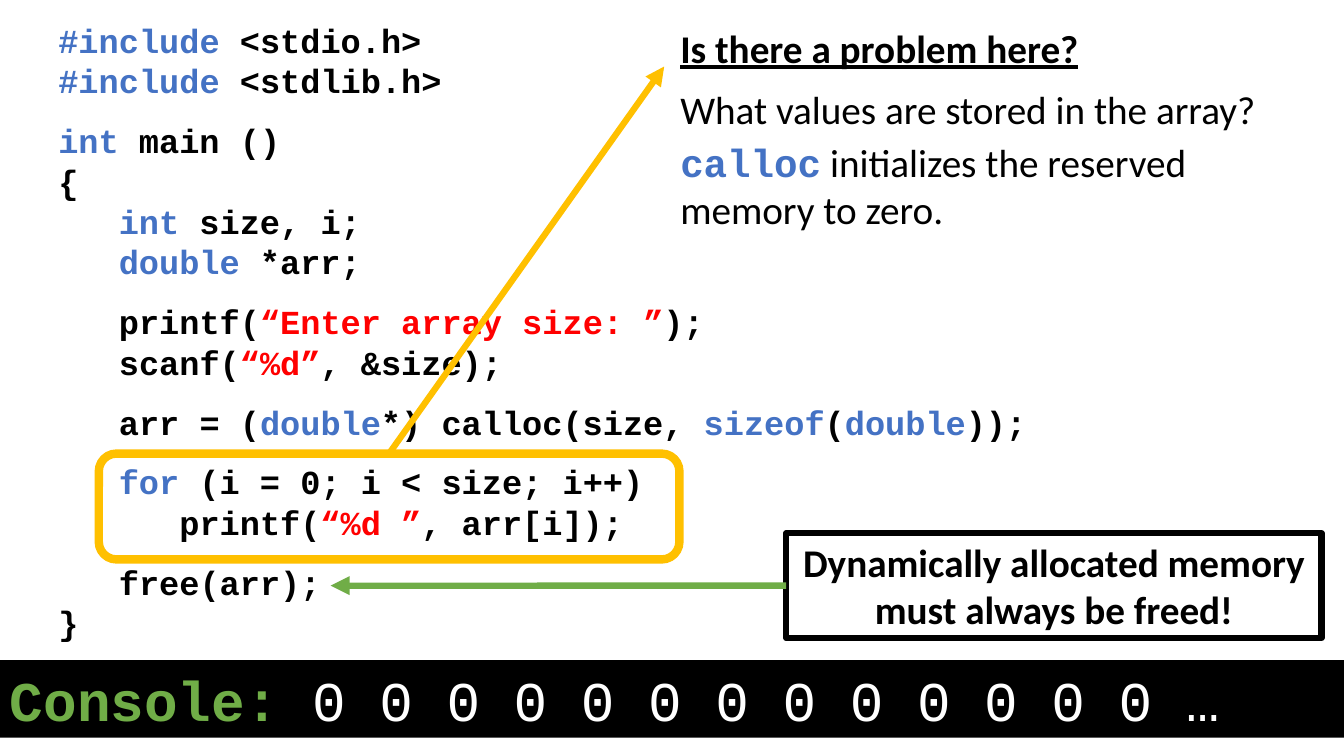
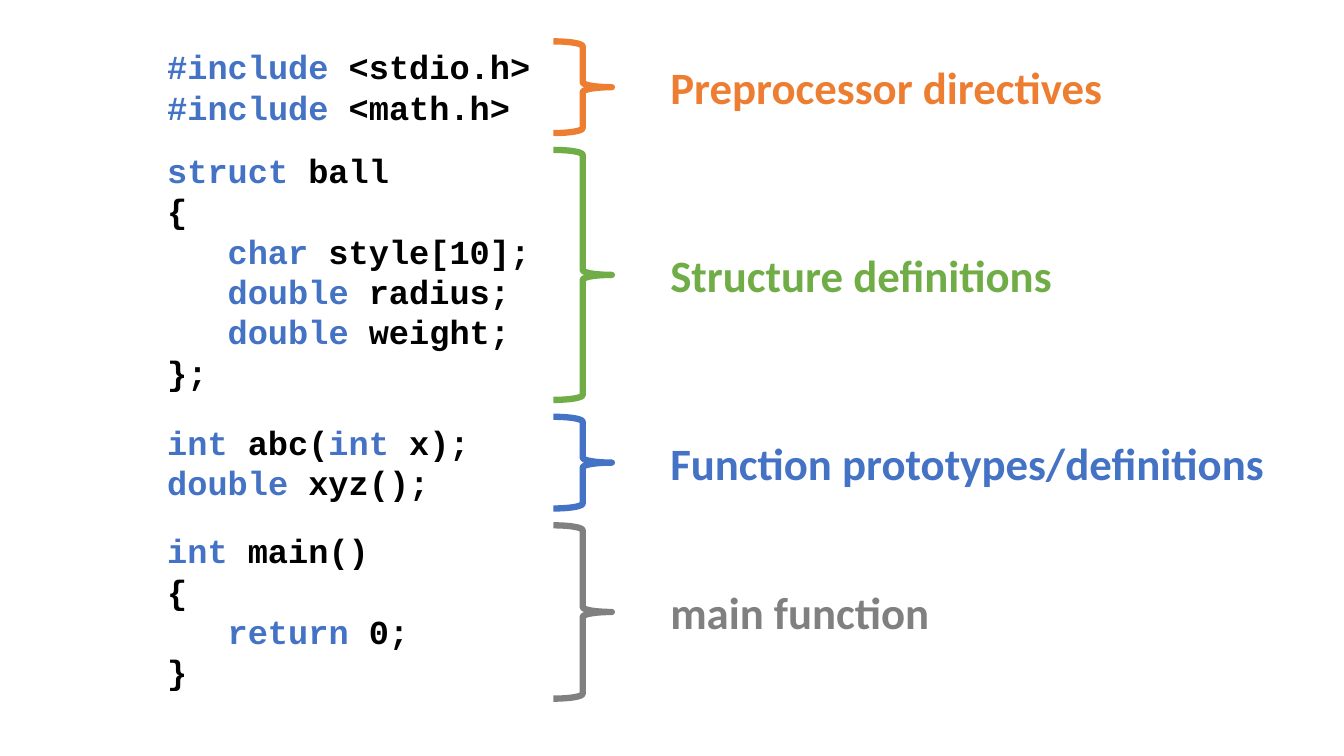
from lxml import etree
from pptx import Presentation, util as u
from pptx.dml.color import RGBColor
from pptx.enum import shapes, text
from pptx.oxml import ns

BLACK, WHITE, RED, BLUE = "000000", "FFFFFF", "FF0000", "4472C4"
GREEN, GOLD, ORANGE, GREY = "70AD47", "FFC000", "ED7D31", "808080"
MONO, SANS = "Courier New", "Calibri"
CODE, KEYWORD = (MONO, BLACK, True), (MONO, BLUE, True)
PLAIN, STRONG = (SANS, BLACK, False), (SANS, BLACK, True)
Preset = shapes.MSO_SHAPE

deck = Presentation()
deck.slide_width, deck.slide_height = u.Inches(13.33), u.Inches(7.5)
column, row = deck.slide_width / 100, deck.slide_height / 100
blank = deck.slide_layouts[6]


def draw(page, preset, left, top, columns, rows, fill=None, line=None, weight=4.5):
    place = [int(left * column), int(top * row), int(columns * column), int(rows * row)]
    if preset is None:
        box = page.shapes.add_textbox(*place)
    else:
        box = page.shapes.add_shape(preset, *place)
        box.shadow.inherit = False
        box.fill.background()
        box.line.fill.background()
    if fill:
        box.fill.solid()
        box.fill.fore_color.rgb = RGBColor.from_string(fill)
    if line:
        box.line.color.rgb = RGBColor.from_string(line)
        box.line.width = u.Pt(weight)
    return box


def write(box, source, size, base, accent=KEYWORD, align=text.PP_ALIGN.LEFT):
    frame = box.text_frame
    frame.word_wrap = True
    paras = [frame.paragraphs[0]]
    for block_index, block in enumerate(source.split("\n\n")):
        for line_index, line in enumerate(block.split("\n")):
            if block_index or line_index:
                paras.append(frame.add_paragraph())
            para = paras[-1]
            para.alignment = align
            if block_index and line_index == 0:
                para.space_before = u.Pt(14)
            for piece_index, piece in enumerate(line.split("~")):
                if not piece:
                    continue
                face, colour, bold = accent if piece_index % 2 else base
                span = para.add_run()
                span.text = piece
                span.font.name, span.font.size, span.font.bold = face, u.Pt(size), bold
                shade = RED if piece.startswith("“") else colour
                span.font.color.rgb = RGBColor.from_string(shade)
    return paras


page = deck.slides.add_slide(blank)
program = """~#include~ <stdio.h>
~#include~ <stdlib.h>

~int~ main ()
{
   ~int~ size, i;
   ~double~ *arr;

   printf(~“Enter array size: ”~);
   scanf(~“%d”~, &size);

   arr = (~double~*) calloc(size, ~sizeof~(~double~));

   ~for~ (i = 0; i < size; i++)
      printf(~“%d ”~, arr[i]);

   free(arr);
}"""
write(draw(page, None, 3.6, 2, 75.5, 84.8), program, 24, CODE)
loop_frame = draw(page, Preset.ROUNDED_RECTANGLE, 7.35, 60, 43.2, 14, line=GOLD, weight=6)

answers = [
    ("Is there a problem here?", 2.53, 7.6, STRONG),
    ("What values are stored in the array?", 10.67, 7.6, PLAIN),
    ("~calloc~ initializes the reserved memory to zero.", 17.6, 13.87, PLAIN),
]
for wording, top, rows, style in answers:
    paras = write(draw(page, None, 49.88, top, 46.88, rows), wording, 28, style)
    if style == STRONG:
        paras[0].runs[0].font.underline = True

console = draw(page, Preset.RECTANGLE, 0, 87.33, 100, 10.27, fill=BLACK)
output = "~Console:~ " + "0 " * 13 + "…"
write(console, output, 40, (MONO, WHITE, False), (MONO, GREEN, True))

reminder = draw(page, Preset.RECTANGLE, 58.5, 70.53, 39.83, 13.87, line=BLACK)
write(reminder, "Dynamically allocated memory must always be freed!", 28, STRONG,
      align=text.PP_ALIGN.CENTER)

for source, site, left, top, colour in [
    (loop_frame, 0, 49.42, 8.8, GOLD),
    (reminder, 1, 24.6, 77.47, GREEN),
]:
    arrow = page.shapes.add_connector(
        shapes.MSO_CONNECTOR.STRAIGHT, 0, 0, int(left * column), int(top * row))
    arrow.begin_connect(source, site)
    arrow.line.color.rgb = RGBColor.from_string(colour)
    arrow.line.width = u.Pt(4.5)
    head = etree.SubElement(arrow.line._get_or_add_ln(), ns.qn("a:tailEnd"))
    head.set("type", "triangle")
    etree.SubElement(arrow._element.spPr, ns.qn("a:effectLst"))

page = deck.slides.add_slide(blank)
sections = [
    ("Preprocessor directives", ORANGE, 12.13, """~#include~ <stdio.h>
~#include~ <math.h>"""),
    ("Structure definitions", GREEN, 33.07, """~struct~ ball
{
   ~char~ style[10];
   ~double~ radius;
   ~double~ weight;
};"""),
    ("Function prototypes/definitions", BLUE, 12.13, """~int~ abc(~int~ x);
~double~ xyz();"""),
    ("main function", GREY, 22.93, """~int~ main()
{
   ~return~ 0;
}"""),
]
code_left, code_columns, label_rows, gap = 11.7, 29.48, 8.53, 2.23
top = 5.47
for label, colour, rows, listing in sections:
    code_rows = 5.4 * len(listing.split("\n")) + 1.33
    code_box = draw(page, None, code_left, top + rows - code_rows, code_columns, code_rows)
    write(code_box, listing, 24, CODE)
    draw(page, Preset.RIGHT_BRACE, code_left + code_columns, top, 4.35, rows, line=colour)
    label_box = draw(page, None, 49.13, top + (rows - label_rows) / 2, 48.9, label_rows)
    write(label_box, label, 32, (SANS, colour, True))
    top += rows + gap

deck.save("out.pptx")
